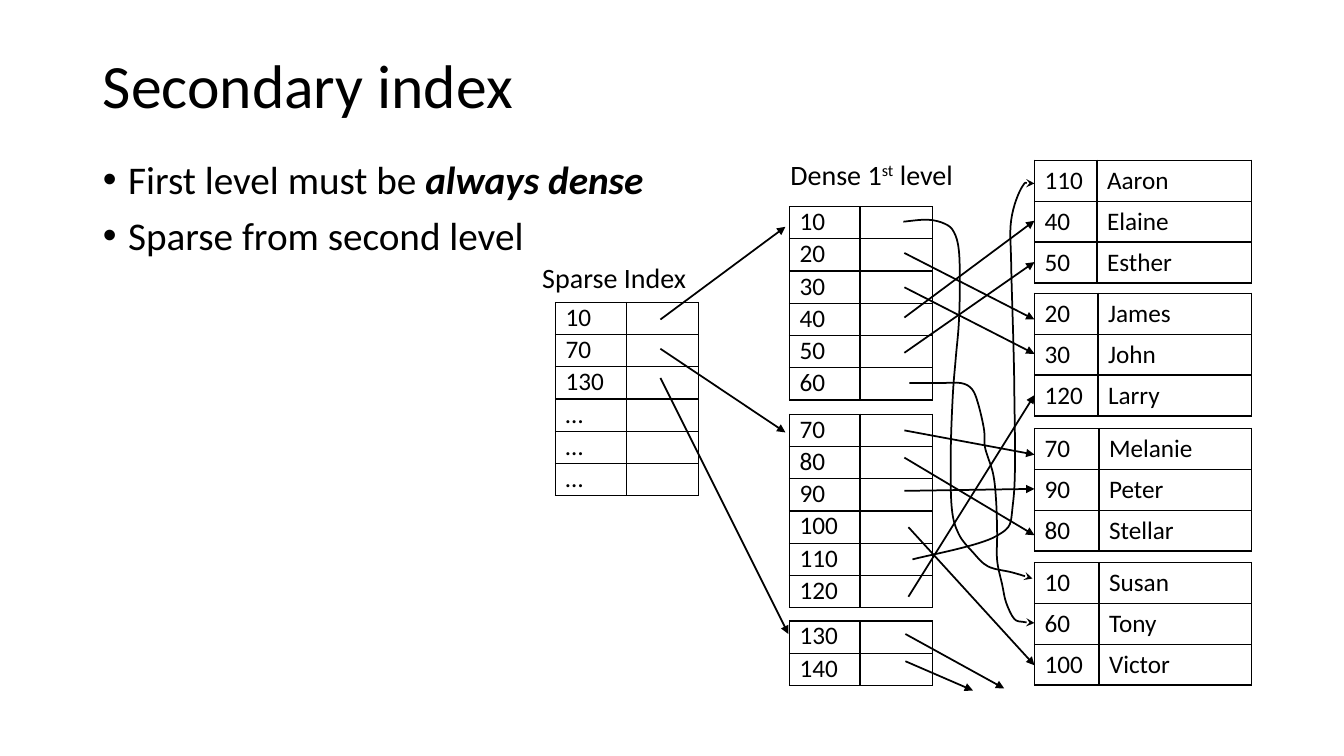
from dataclasses import dataclass

from lxml import etree
from pptx import Presentation
from pptx.dml.color import RGBColor
from pptx.enum.shapes import MSO_CONNECTOR
from pptx.enum.text import MSO_ANCHOR, MSO_AUTO_SIZE, PP_ALIGN
from pptx.oxml.ns import qn
from pptx.util import Inches, Pt

BLACK = RGBColor(0, 0, 0)
STRAIGHT = MSO_CONNECTOR.STRAIGHT
MIDDLE, TOP = MSO_ANCHOR.MIDDLE, MSO_ANCHOR.TOP
NO_FIT = MSO_AUTO_SIZE.NONE
LEFT = PP_ALIGN.LEFT
FONT = "Calibri"
TITLE_FORMAT = {"name": FONT, "size": Pt(44), "bold": False}
BODY_FORMAT = {"name": FONT, "size": Pt(28)}
LABEL_FORMAT = {"name": FONT, "size": Pt(20)}
CELL_FORMAT = {"name": FONT, "size": Pt(18), "bold": False}
STRESS_FORMAT = {"bold": True, "italic": True}

SLOT_WIDTHS = (0.7, 0.72)
SPARSE_KEYS = ["10", "70", "130", "…", "…", "…"]
DENSE_BLOCKS = [
    (0.54, ["10", "20", "30", "40", "50", "60"]),
    (2.6, ["70", "80", "90", "100", "110", "120"]),
    (4.65, ["130", "140"]),
]
RECORD_BLOCKS = [
    (0, 0.62, [("110", "Aaron"), ("40", "Elaine"), ("50", "Esther")]),
    (1.32, 0.63, [("20", "James"), ("30", "John"), ("120", "Larry")]),
    (2.66, 0.64, [("70", "Melanie"), ("90", "Peter"), ("80", "Stellar")]),
    (3.99, 0.64, [("10", "Susan"), ("60", "Tony"), ("100", "Victor")]),
]
STRAIGHT_POINTERS = [
    (1.55, 2.17, 2.79, 1.25),
    (1.55, 2.46, 2.79, 3.29),
    (1.55, 2.75, 2.82, 5.29),
    (3.97, 1.51, 5.26, 2.17),
    (3.97, 1.85, 5.26, 2.51),
    (3.97, 2.15, 5.26, 1.19),
    (3.97, 2.5, 5.26, 1.6),
    (3.97, 3.27, 5.26, 3.51),
    (3.97, 3.54, 5.26, 4.31),
    (3.97, 3.87, 5.26, 3.85),
    (4.01, 4.23, 5.26, 5.6),
    (4.01, 4.92, 5.26, 2.92),
    (3.98, 5.29, 4.96, 5.83),
    (3.98, 5.56, 4.65, 5.85),
]
CURVED_POINTERS = [
    [(3.96, 1.2), (4.2, 1.18), (4.37, 1.22), (4.46, 1.3), (4.51, 1.48), (4.52, 1.83),
     (4.51, 2.21), (4.48, 2.55), (4.45, 2.93), (4.43, 3.5), (4.44, 4.04), (4.51, 4.3),
     (4.65, 4.48), (4.8, 4.62), (5.04, 4.68), (5.24, 4.74)],
    [(4.05, 4.55), (4.88, 4.32), (5.05, 3.97), (5.06, 2.85), (5.03, 1.65),
     (5.03, 1.18), (5.14, 0.85), (5.26, 0.82)],
    [(4.02, 2.8), (4.32, 2.8), (4.53, 2.8), (4.64, 2.86), (4.7, 3), (4.76, 3.26),
     (4.77, 3.44), (4.85, 3.7), (4.88, 3.97), (4.89, 4.29), (4.89, 4.56), (4.94, 4.8),
     (4.98, 4.98), (5.06, 5.14), (5.15, 5.17), (5.26, 5.18)],
]


@dataclass
class Box:
    left: float
    top: float
    width: float
    height: float

    def lengths(self):
        return [Inches(value) for value in (self.left, self.top, self.width, self.height)]


def apply_format(font, values):
    for name, value in values.items():
        setattr(font, name, value)
    font.color.rgb = BLACK


def place(shape, box):
    for name, value in zip(("left", "top", "width", "height"), box.lengths()):
        setattr(shape, name, value)


def add_title(slide, box):
    title = slide.shapes.title
    place(title, box)
    frame = title.text_frame
    frame.text = "Secondary index"
    frame.auto_size = NO_FIT
    frame.vertical_anchor = MIDDLE
    para = frame.paragraphs[0]
    para.alignment = LEFT
    para.line_spacing = 0.9
    apply_format(para.font, TITLE_FORMAT)


def add_points(slide, box):
    body = slide.placeholders[1]
    place(body, box)
    frame = body.text_frame
    frame.auto_size = NO_FIT
    frame.vertical_anchor = TOP
    points = [
        [("First level must be ", {}), ("always dense", STRESS_FORMAT)],
        [("Sparse from second level", {})],
    ]
    for number, spans in enumerate(points):
        para = frame.add_paragraph() if number else frame.paragraphs[0]
        properties = para._p.get_or_add_pPr()
        properties.set("marL", str(Inches(0.25)))
        properties.set("indent", str(-Inches(0.25)))
        etree.SubElement(properties, qn("a:buFont"), typeface="Arial")
        etree.SubElement(properties, qn("a:buChar"), char="•")
        para.line_spacing = 0.9
        para.space_before = Pt(10 if number else 0)
        for text, values in spans:
            span = para.add_run()
            span.text = text
            apply_format(span.font, {**BODY_FORMAT, **values})


def add_label(slide, box, parts):
    label = slide.shapes.add_textbox(*box.lengths())
    label.text_frame.word_wrap = False
    para = label.text_frame.paragraphs[0]
    for text, raised in parts:
        span = para.add_run()
        span.text = text
        apply_format(span.font, LABEL_FORMAT)
        if raised:
            span.font._element.set("baseline", "30000")


def add_borders(cell):
    properties = cell._tc.get_or_add_tcPr()
    for position, side in enumerate(("lnL", "lnR", "lnT", "lnB")):
        border = etree.Element(qn(f"a:{side}"), w=str(Pt(1)))
        fill = etree.SubElement(border, qn("a:solidFill"))
        etree.SubElement(fill, qn("a:srgbClr"), val=str(BLACK))
        properties.insert(position, border)


def add_block(slide, left, top, widths, row_height, rows, margin):
    box = Box(left, top, sum(widths), row_height * len(rows))
    table = slide.shapes.add_table(len(rows), len(widths), *box.lengths()).table
    table.first_row = False
    table.horz_banding = False
    for column, width in zip(table.columns, widths):
        column.width = Inches(width)
    for row, texts in enumerate(rows):
        for column, text in enumerate(texts):
            cell = table.cell(row, column)
            cell.text = text
            cell.margin_top = cell.margin_bottom = Inches(margin)
            cell.fill.background()
            add_borders(cell)
            apply_format(cell.text_frame.paragraphs[0].font, CELL_FORMAT)


def add_sparse_level(slide, box):
    add_label(slide, Box(box.left, box.top, box.width, 0.44), [("Sparse Index", False)])
    rows = [(key, "") for key in SPARSE_KEYS]
    add_block(slide, box.left + 0.23, box.top + 0.46, SLOT_WIDTHS, 0.32, rows, 0)


def add_dense_level(slide, box):
    parts = [("Dense 1", False), ("st", True), (" level", False)]
    add_label(slide, Box(box.left, box.top, box.width, 0.44), parts)
    for offset, keys in DENSE_BLOCKS:
        rows = [(key, "") for key in keys]
        add_block(slide, box.left + 0.09, box.top + offset, SLOT_WIDTHS, 0.32, rows, 0)


def add_records(slide, box):
    for offset, key_width, rows in RECORD_BLOCKS:
        widths = (key_width, box.width - key_width)
        add_block(slide, box.left, box.top + offset, widths, 0.4, rows, 0.05)


def style_pointer(line, head):
    line.width = Pt(1.25)
    line.color.rgb = BLACK
    etree.SubElement(line._get_or_add_ln(), qn("a:tailEnd"), type=head)


def bend_segments(curve):
    outline = curve._element.spPr
    knots = [(int(point.get("x")), int(point.get("y"))) for point in outline.iter(qn("a:pt"))]
    ends = [knots[0], *knots, knots[-1]]
    segments = list(outline.iter(qn("a:lnTo")))
    for segment, before, start, end, after in zip(segments, ends, ends[1:], ends[2:], ends[3:]):
        leaving = [b + (c - a) / 6 for a, b, c in zip(before, start, end)]
        arriving = [c - (d - b) / 6 for b, c, d in zip(start, end, after)]
        bend = etree.Element(qn("a:cubicBezTo"))
        for x, y in (leaving, arriving, end):
            etree.SubElement(bend, qn("a:pt"), x=str(round(x)), y=str(round(y)))
        segment.getparent().replace(segment, bend)


def add_pointers(slide, box):
    for x1, y1, x2, y2 in STRAIGHT_POINTERS:
        ends = (box.left + x1, box.top + y1, box.left + x2, box.top + y2)
        pointer = slide.shapes.add_connector(STRAIGHT, *map(Inches, ends))
        style_pointer(pointer.line, "triangle")
        etree.SubElement(pointer._element.spPr, qn("a:effectLst"))
    for knots in CURVED_POINTERS:
        placed = [(Inches(box.left + x), Inches(box.top + y)) for x, y in knots]
        builder = slide.shapes.build_freeform(*placed[0])
        builder.add_line_segments(placed[1:], close=False)
        curve = builder.convert_to_shape()
        bend_segments(curve)
        curve.shadow.inherit = False
        curve.fill.background()
        style_pointer(curve.line, "stealth")


def main():
    deck = Presentation()
    deck.slide_width, deck.slide_height = Inches(13.33), Inches(7.5)
    slide = deck.slides.add_slide(deck.slide_layouts[1])
    add_title(slide, Box(0.92, 0.33, 11.5, 1.09))
    add_points(slide, Box(0.92, 1.54, 11.5, 5.22))
    add_records(slide, Box(10.26, 1.59, 2.15, 5.19))
    add_dense_level(slide, Box(7.74, 1.51, 1.85, 5.29))
    add_sparse_level(slide, Box(5.28, 2.54, 1.64, 2.37))
    add_pointers(slide, Box(5, 1, 5.26, 5.85))
    deck.save("out.pptx")


if __name__ == "__main__":
    main()
